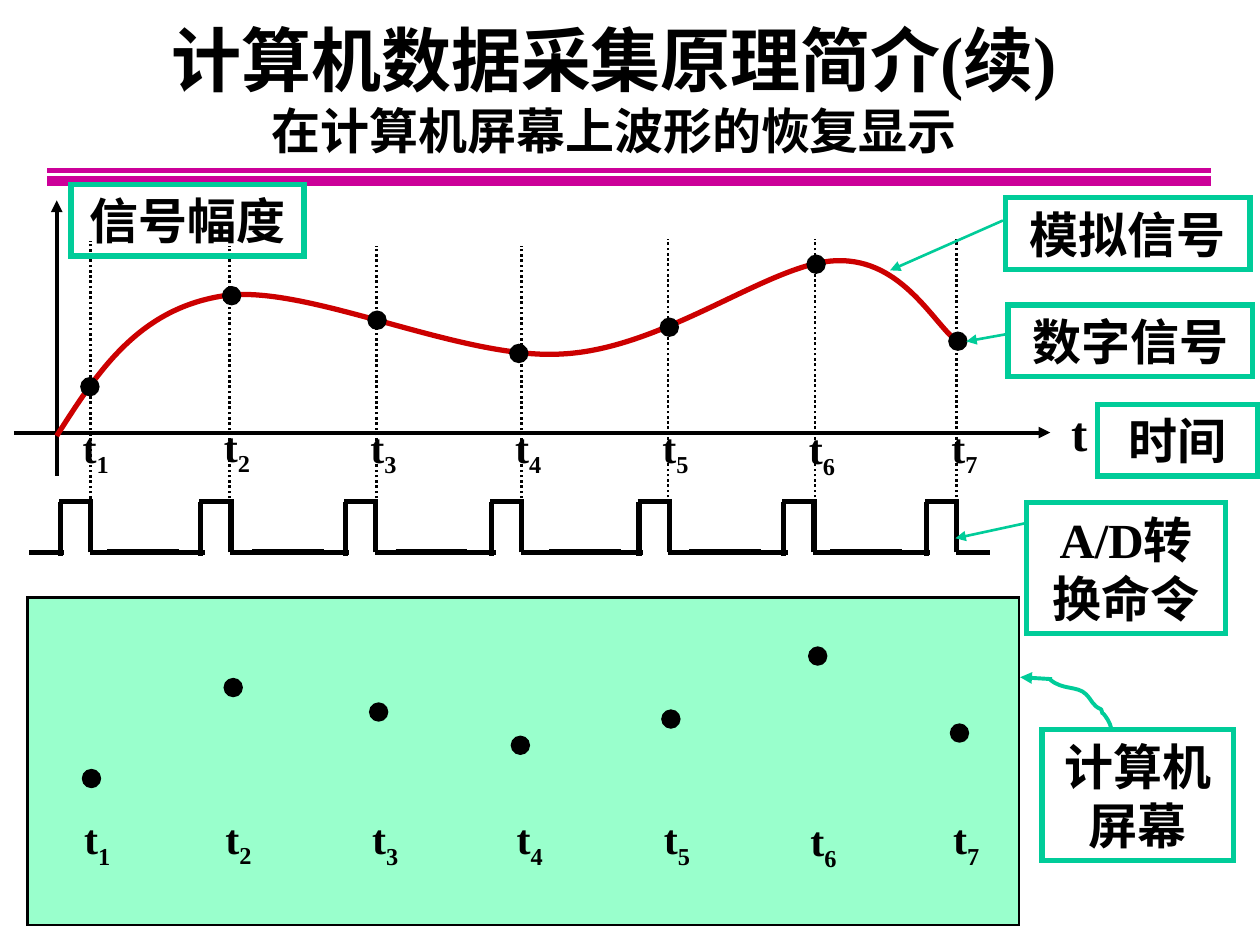
from pptx import Presentation
from pptx.dml.color import RGBColor
from pptx.enum.dml import MSO_LINE
from pptx.enum.shapes import MSO_CONNECTOR, MSO_SHAPE
from pptx.enum.text import MSO_ANCHOR, MSO_AUTO_SIZE, PP_ALIGN
from pptx.util import Pt
from lxml.etree import SubElement
from pptx.oxml.ns import qn

FONT = {"name": "Times New Roman", "bold": True}
FRAME = {
    "vertical_anchor": MSO_ANCHOR.MIDDLE,
    "auto_size": MSO_AUTO_SIZE.NONE,
    "margin_left": Pt(7.2),
    "margin_right": Pt(7.2),
    "margin_top": Pt(3.6),
    "margin_bottom": Pt(3.6),
}
BLACK, GREEN, PINK, RED, MINT = "000000", "00CC99", "CC0099", "CC0000", "99FFCC"
GRID = [(51.8, 137.5), (131.2, 140.4), (215.2, 140.4), (297.9, 140.4),
        (381.7, 136.8), (465.8, 136.8), (546.7, 136.8)]
FALLS = [51.8, 132, 214.7, 298.2, 382.4, 465.1, 546.6]
DOTS = [(51.4, 221), (132.4, 169), (215.5, 183), (296.5, 202),
        (382.5, 187), (466.4, 151), (547.4, 195)]
MARKS = [(54.7, 257), (135.4, 256.5), (219.2, 257), (301.8, 257),
         (386, 257), (469.7, 258), (551.2, 257)]
LINKS = [61.2, 144, 226.1, 313.9, 393.8, 474.5]
PULSE = [(-35, 315.7, -15, 315.7), (-18, 286.4, 1.5, 286.4),
         (-0.4, 315.7, 19, 315.7), (-17.3, 317.5, -17.3, 287),
         (0, 315.7, 0, 285.3)]
WAVE = [(32.4, 249.1), (55.4, 213.1), (78.5, 177.1), (126.7, 169.2),
        (174.2, 161.3), (262.8, 205.9), (321.1, 202.3),
        (380.2, 199.4), (440.6, 149.8), (478.1, 149),
        (516.2, 147.6), (534.2, 186.5), (547.9, 195.8)]
HOOK = [(599.8, 388.1), (607, 394.6), (615.6, 391.7), (620.6, 396.7),
        (624.2, 400.3), (624.2, 403.2), (629.3, 405.4),
        (631.4, 411.8), (627.8, 403.2), (632.9, 411.1),
        (634.3, 412.6), (634.3, 414.7), (635, 416.2)]
NOTES = [
    ("模拟信号", 574.6, 113, 139.7, 41),
    ("信号幅度", 40.6, 105.4, 133.2, 41),
    ("时间", 627.1, 231.1, 91.4, 41),
    ("数字信号", 576, 174.4, 139.7, 41),
    ("A/D转换命令", 586.6, 287.3, 113.8, 74.9),
    ("计算机屏幕", 595.4, 416.9, 109.4, 74.9),
]
ARROWS = [
    ((573.1, 126, 508.6, 154.5), GREEN, 1.5),
    ((576, 190.8, 552.2, 195.1), GREEN, 1.5),
    ((586.8, 298.8, 546, 307.6), GREEN, 1.5),
    ((601.2, 388.1, 583, 387), GREEN, 2.25),
]
AXES = [((7.9, 247.2, 600.2, 247.2), BLACK, 2.25), ((32.4, 271.8, 32.4, 114.5), BLACK, 2.25)]


def rgb(code):
    return RGBColor.from_string(code)


def apply(item, values):
    for key, value in values.items():
        setattr(item, key, value)


def stroke(line, color, width):
    line.color.rgb = rgb(color)
    line.width = Pt(width)


def rule(slide, ends, color, width, dash=None, arrow=False):
    link = slide.shapes.add_connector(MSO_CONNECTOR.STRAIGHT, *map(Pt, ends))
    stroke(link.line, color, width)
    if dash:
        link.line.dash_style = dash
    if arrow:
        SubElement(link.line._get_or_add_ln(), qn("a:tailEnd"), type="triangle")
    SubElement(link._element.spPr, qn("a:effectLst"))


def shape(slide, kind, place, color, width, fill=None):
    item = slide.shapes.add_shape(kind, *map(Pt, place))
    item.shadow.inherit = False
    stroke(item.line, color, width)
    SubElement(item.line._get_or_add_ln(), qn("a:miter"), lim="800000")
    if fill:
        item.fill.solid()
        item.fill.fore_color.rgb = rgb(fill)
    else:
        item.fill.background()
    return item


def write(item, runs, size, wrap=True):
    frame = item.text_frame
    apply(frame, {**FRAME, "word_wrap": wrap})
    para = frame.paragraphs[0]
    para.alignment = PP_ALIGN.CENTER
    for text in runs:
        run = para.add_run()
        run.text = text
        apply(run.font, {**FONT, "size": Pt(size)})
        run.font.color.rgb = rgb(BLACK)
    return para


def label(slide, runs, place, size):
    box = slide.shapes.add_textbox(*map(Pt, place))
    return write(box, runs, size, False)


def curve(slide, knots, color, width):
    pen = slide.shapes.build_freeform(*map(Pt, knots[0]))
    pen.add_line_segments([tuple(map(Pt, k)) for k in knots[1:]], close=False)
    item = pen.convert_to_shape()
    item.shadow.inherit = False
    item.fill.background()
    stroke(item.line, color, width)
    track = next(item._element.iter(qn("a:path")))
    lines = track.findall(qn("a:lnTo"))
    for i in range(0, len(lines), 3):
        bend = SubElement(track, qn("a:cubicBezTo"))
        for line in lines[i:i + 3]:
            bend.append(line[0])
            track.remove(line)


def samples(slide, right=0, down=0):
    for x, y in DOTS:
        place = (x + right - 4, y + down - 4, 8, 8)
        shape(slide, MSO_SHAPE.OVAL, place, BLACK, 3, BLACK)
    for n, (x, y) in enumerate(MARKS, 1):
        place = (x + right - 15.5, y + down - 20.1, 31, 40.3)
        para = label(slide, ["t", str(n)], place, 24)
        para.runs[1].font._element.set("baseline", "-25000")


def heading(slide):
    title = slide.shapes.title
    apply(title, dict(zip(("left", "top", "width", "height"),
                          map(Pt, (45, 5, 612, 90)))))
    para = write(title, ["计算机数据采集原理简介(续)"], 40)
    para.add_line_break()
    write(title, ["在计算机屏幕上波形的恢复显示"], 28)
    for y, width in ((97.4, 3), (103.4, 6)):
        rule(slide, (27.1, y, 691.9, y), PINK, width)


def pulses(slide):
    for fall in FALLS:
        for x, y, end, base in PULSE:
            rule(slide, (fall + x, y, fall + end, base), BLACK, 3)
    for x in LINKS:
        rule(slide, (x, 315.4, x + 41, 315.4), BLACK, 3)


def main():
    deck = Presentation()
    apply(deck, {"slide_width": Pt(720), "slide_height": Pt(540)})
    slide = deck.slides.add_slide(deck.slide_layouts[5])
    shape(slide, MSO_SHAPE.RECTANGLE, (15.8, 341.4, 566.6, 187.2), BLACK, 1.5, MINT)
    heading(slide)
    for ends, color, width in AXES:
        rule(slide, ends, color, width, arrow=True)
    curve(slide, WAVE, RED, 3)
    label(slide, ["t"], (604.8, 226.1, 23.8, 41), 28)
    pulses(slide)
    for x, top in GRID:
        rule(slide, (x, top + 168.5, x, top), BLACK, 1.5, MSO_LINE.ROUND_DOT)
    samples(slide)
    samples(slide, 0.9, 223.9)
    for text, *place in NOTES:
        write(shape(slide, MSO_SHAPE.RECTANGLE, place, GREEN, 3), [text], 28)
    for ends, color, width in ARROWS:
        rule(slide, ends, color, width, arrow=True)
    curve(slide, HOOK, GREEN, 2.25)
    deck.save("out.pptx")


if __name__ == "__main__":
    main()
